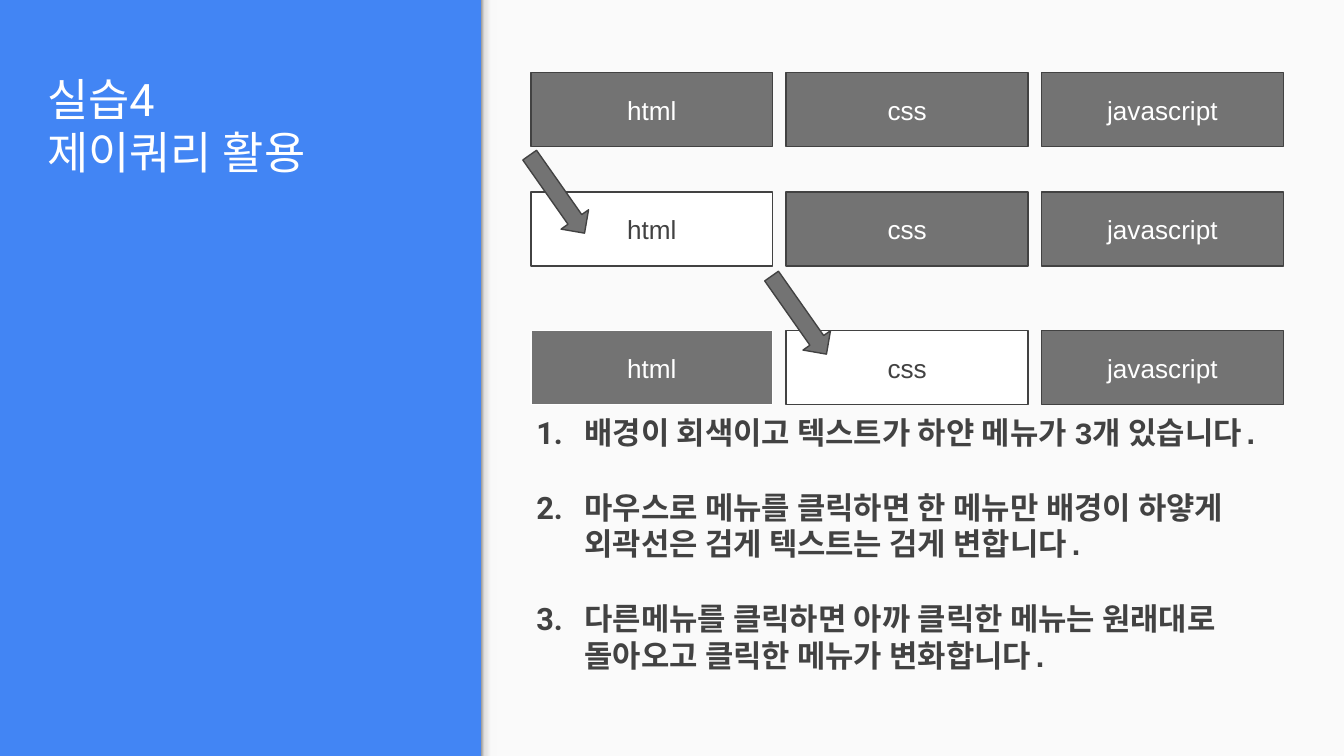
from copy import deepcopy
from dataclasses import dataclass

from lxml import etree
from pptx import Presentation
from pptx import util as u
from pptx.dml.color import RGBColor
from pptx.enum import shapes, text
from pptx.oxml.ns import qn

COLORS = {
    "blue": "4285F4",
    "panel": "FAFAFA",
    "gray": "737373",
    "dark": "424242",
    "white": "FFFFFF",
}
EDGE_STOPS = [(0, "999999"), (0.2, "DEDEDE"), (0.64, "F9F9F9"), (1, "F9F9F9")]
LABELS = ["html", "css", "javascript"]
MENU_LEFT, MENU_PITCH = 3.95, 1.9
WIDTH = 10
HEIGHT = WIDTH * 9 / 16
PANEL_LEFT = 3.58
TITLE = ["실습4", "제이쿼리 활용"]
STEPS = [
    "배경이 회색이고 텍스트가 하얀 메뉴가 3개 있습니다.",
    "마우스로 메뉴를 클릭하면 한 메뉴만 배경이 하얗게 외곽선은 검게 텍스트는 검게 변합니다.",
    "다른메뉴를 클릭하면 아까 클릭한 메뉴는 원래대로 돌아오고 클릭한 메뉴가 변화합니다.",
]


@dataclass
class MenuRow:
    top: float
    active: int | None = None
    restored: int | None = None


@dataclass
class Arrow:
    left: float
    top: float


ROWS = [MenuRow(0.54), MenuRow(1.43, active=0), MenuRow(2.46, active=1, restored=0)]
ARROWS = [Arrow(3.79, 1.32), Arrow(5.59, 2.22)]


def rgb(name: str) -> RGBColor:
    return RGBColor.from_string(COLORS[name])


def put_text(sp, lines, *, size, font, color, ea="Roboto", bold=False,
             align=text.PP_ALIGN.LEFT, anchor=text.MSO_ANCHOR.TOP, after=0):
    tf = sp.text_frame
    tf.word_wrap = True
    tf.auto_size = text.MSO_AUTO_SIZE.NONE
    tf.vertical_anchor = anchor
    tf.margin_left = tf.margin_right = tf.margin_top = tf.margin_bottom = u.Inches(0.1)
    for i, line in enumerate(lines):
        p = tf.add_paragraph() if i else tf.paragraphs[0]
        p.alignment = align
        p.line_spacing = 1.0
        p.space_before = u.Pt(0)
        p.space_after = u.Pt(after)
        r = p.add_run()
        r.text = line
        r.font.size = u.Pt(size)
        r.font.name = font
        r.font.bold = bold
        r.font.color.rgb = rgb(color)
        etree.SubElement(r.font._element, qn("a:ea")).set("typeface", ea)
    return tf


def number(p) -> None:
    pPr = p._p.get_or_add_pPr()
    pPr.set("marL", str(u.Inches(0.5)))
    pPr.set("indent", str(u.Inches(-0.36)))
    clr = etree.SubElement(pPr, qn("a:buClr"))
    etree.SubElement(clr, qn("a:srgbClr")).set("val", COLORS["dark"])
    etree.SubElement(pPr, qn("a:buFont")).set("typeface", "Roboto")
    etree.SubElement(pPr, qn("a:buAutoNum")).set("type", "arabicPeriod")


def place(sp, left: float, top: float, width: float, height: float) -> None:
    sp.left, sp.top = u.Inches(left), u.Inches(top)
    sp.width, sp.height = u.Inches(width), u.Inches(height)


def add_shape(s, kind, left: float, top: float, width: float, height: float,
              fill: str | None = None, line: str | None = None):
    sp = s.shapes.add_shape(kind, u.Inches(left), u.Inches(top),
                            u.Inches(width), u.Inches(height))
    sp.shadow.inherit = False
    if fill:
        sp.fill.solid()
        sp.fill.fore_color.rgb = rgb(fill)
    if line:
        sp.line.color.rgb = rgb(line)
        sp.line.width = u.Pt(0.75)
    else:
        sp.line.fill.background()
    return sp


def add_panel(s) -> None:
    rect = shapes.MSO_SHAPE.RECTANGLE
    panel = add_shape(s, rect, PANEL_LEFT, 0, WIDTH - PANEL_LEFT, HEIGHT, "panel")
    edge = add_shape(s, rect, PANEL_LEFT, 0, 0.12, HEIGHT)
    edge.fill.gradient()
    edge.fill.gradient_angle = 0
    stops = edge._element.spPr.find(".//" + qn("a:gsLst"))
    for gs in list(stops):
        stops.append(deepcopy(gs))
    for stop, (position, color) in zip(edge.fill.gradient_stops, EDGE_STOPS):
        stop.position = position
        stop.color.rgb = RGBColor.from_string(color)
    for i, sp in enumerate([panel, edge]):
        s.shapes._spTree.insert(2 + i, sp._element)


def add_menu(s, row: MenuRow) -> None:
    for i, label in enumerate(LABELS):
        active = i == row.active
        sp = add_shape(s, shapes.MSO_SHAPE.RECTANGLE,
                       MENU_LEFT + i * MENU_PITCH, row.top, 1.8, 0.55,
                       "white" if active else "gray",
                       "white" if i == row.restored else "dark")
        put_text(sp, [label], size=14, font="Arial", ea="Arial",
                 color="dark" if active else "white",
                 align=text.PP_ALIGN.CENTER, anchor=text.MSO_ANCHOR.MIDDLE)


def add_arrow(s, arrow: Arrow) -> None:
    sp = add_shape(s, shapes.MSO_SHAPE.RIGHT_ARROW, arrow.left, arrow.top,
                   0.71, 0.25, "gray", "dark")
    sp.rotation = 54.9


def main() -> None:
    prs = Presentation()
    prs.slide_width, prs.slide_height = u.Inches(WIDTH), u.Inches(HEIGHT)
    s = prs.slides.add_slide(prs.slide_layouts[1])
    s.background.fill.solid()
    s.background.fill.fore_color.rgb = rgb("blue")
    add_panel(s)

    title, body = s.shapes.title, s.placeholders[1]
    place(title, 0.25, 0.39, 3.07, 1.04)
    put_text(title, TITLE, size=24, font="Roboto", color="white",
             anchor=text.MSO_ANCHOR.BOTTOM)
    place(body, 3.75, 2.98, 6.14, 2.15)
    tf = put_text(body, STEPS, size=16.5, font="Courier New", color="dark",
                  bold=True, after=20)
    for p in tf.paragraphs:
        number(p)

    for row in ROWS:
        add_menu(s, row)
    for arrow in ARROWS:
        add_arrow(s, arrow)
    prs.save("out.pptx")


if __name__ == "__main__":
    main()
